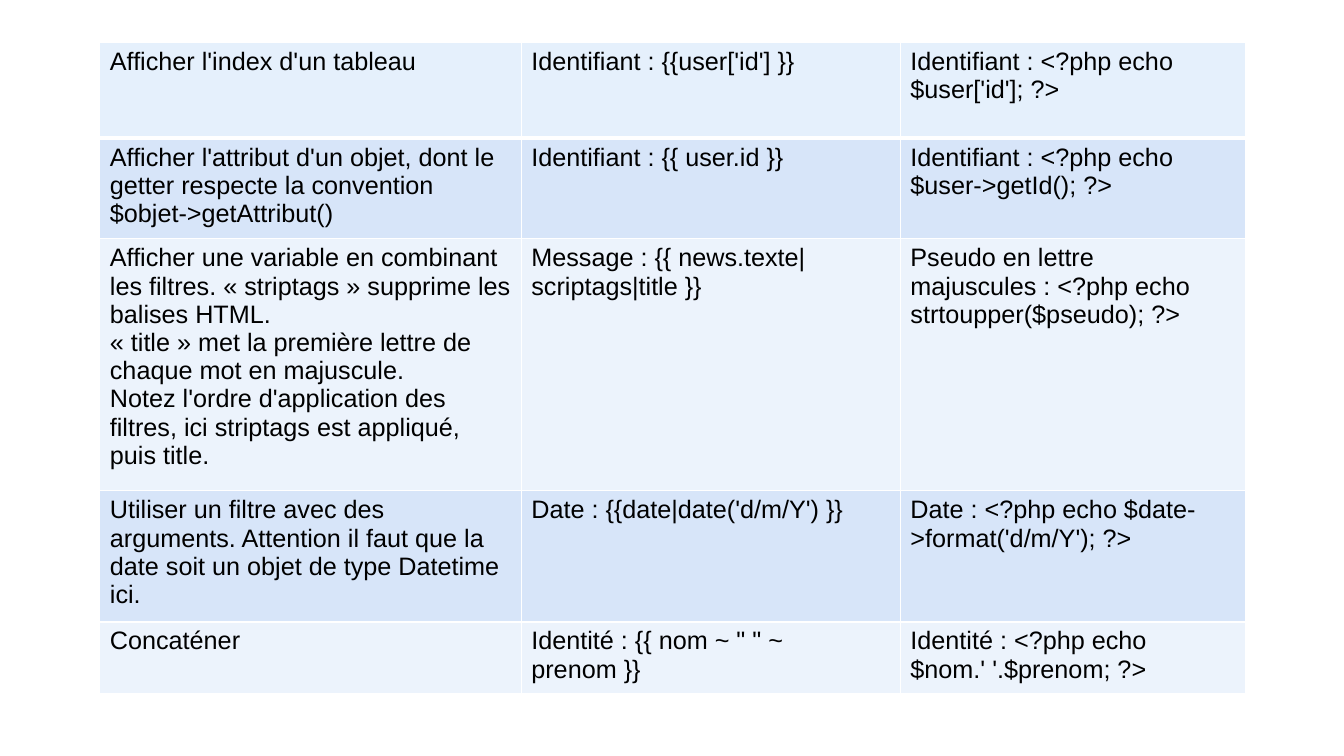
from dataclasses import dataclass

from lxml import etree
from pptx import Presentation, util as u
from pptx.dml.color import RGBColor
from pptx.oxml.ns import qn

PX = 9144


@dataclass(frozen=True)
class Theme:
    """Colours, font and line weights of the slide."""
    font: str = "Arial"
    size: int = 18
    ink: str = "000000"
    rule: str = "FFFFFF"
    thin: int = 1
    thick: int = 3
    first: str = "E5F0FC"
    bands: tuple = ("ECF3FC", "D7E5F9")


THEME = Theme()
COLS = (418, 376, 342)
ROWS = (
    (95, "Afficher l'index d'un tableau",
     "Identifiant : {{user['id'] }}",
     "Identifiant : <?php echo $user['id']; ?>"),
    (100, "Afficher l'attribut d'un objet, dont le getter respecte "
     "la convention $objet->getAttribut()",
     "Identifiant : {{ user.id }}",
     "Identifiant : <?php echo\n$user->getId(); ?>"),
    (250, "Afficher une variable en combinant les filtres. "
     "« striptags » supprime les balises HTML.\n"
     "« title » met la première lettre de chaque mot en majuscule.\n"
     "Notez l'ordre d'application des filtres, "
     "ici striptags est appliqué, puis title.",
     "Message : {{ news.texte|scriptags|title }}",
     "Pseudo en lettre\nmajuscules : <?php echo\nstrtoupper($pseudo); ?>"),
    (130, "Utiliser un filtre avec des arguments. Attention il faut "
     "que la date soit un objet de type Datetime ici.",
     "Date : {{date|date('d/m/Y') }}",
     "Date : <?php echo $date-\n>format('d/m/Y'); ?>"),
    (71, "Concaténer",
     "Identité : {{ nom ~ \" \" ~\nprenom }}",
     "Identité : <?php echo\n$nom.' '.$prenom; ?>"),
)


def px(n):
    """Turn px into EMU."""
    return u.Emu(n * PX)


def edge(cell, top, bottom):
    """Draw the four borders of a cell."""
    props = cell._tc.get_or_add_tcPr()
    sides = {"L": THEME.thin, "R": THEME.thin, "T": top, "B": bottom}
    for spot, (side, width) in enumerate(sides.items()):
        line = etree.Element(qn(f"a:ln{side}"), w=str(u.Pt(width)))
        fill = etree.SubElement(line, qn("a:solidFill"))
        etree.SubElement(fill, qn("a:srgbClr"), val=THEME.rule)
        props.insert(spot, line)


def write(cell, words, fill):
    """Fill a cell and set its text."""
    cell.fill.solid()
    cell.fill.fore_color.rgb = RGBColor.from_string(fill)
    cell.text = words
    for para in cell.text_frame.paragraphs:
        para.font.name = THEME.font
        para.font.size = u.Pt(THEME.size)
        para.font.color.rgb = RGBColor.from_string(THEME.ink)


def grid(slide, left, top, width, height):
    """Place the syntax table in the given box."""
    frame = slide.shapes.add_table(len(ROWS), len(COLS), px(left), px(top),
                                   px(width), px(height))
    table = frame.table
    table.first_row = table.horz_banding = False
    for col, span in zip(table.columns, COLS):
        col.width = px(span * width // sum(COLS))
    for r, (tall, *texts) in enumerate(ROWS):
        table.rows[r].height = px(tall)
        fill = THEME.bands[r % 2] if r else THEME.first
        above = THEME.thick if r == 1 else THEME.thin
        below = THEME.thick if r == 0 else THEME.thin
        for c, words in enumerate(texts):
            cell = table.cell(r, c)
            write(cell, words, fill)
            edge(cell, above, below)


def main():
    """Build and save the slide."""
    deck = Presentation()
    deck.slide_width, deck.slide_height = px(1333), px(750)
    slide = deck.slides.add_slide(deck.slide_layouts[6])
    grid(slide, 99, 42, sum(COLS), sum(row[0] for row in ROWS))
    deck.save("out.pptx")


if __name__ == "__main__":
    main()
